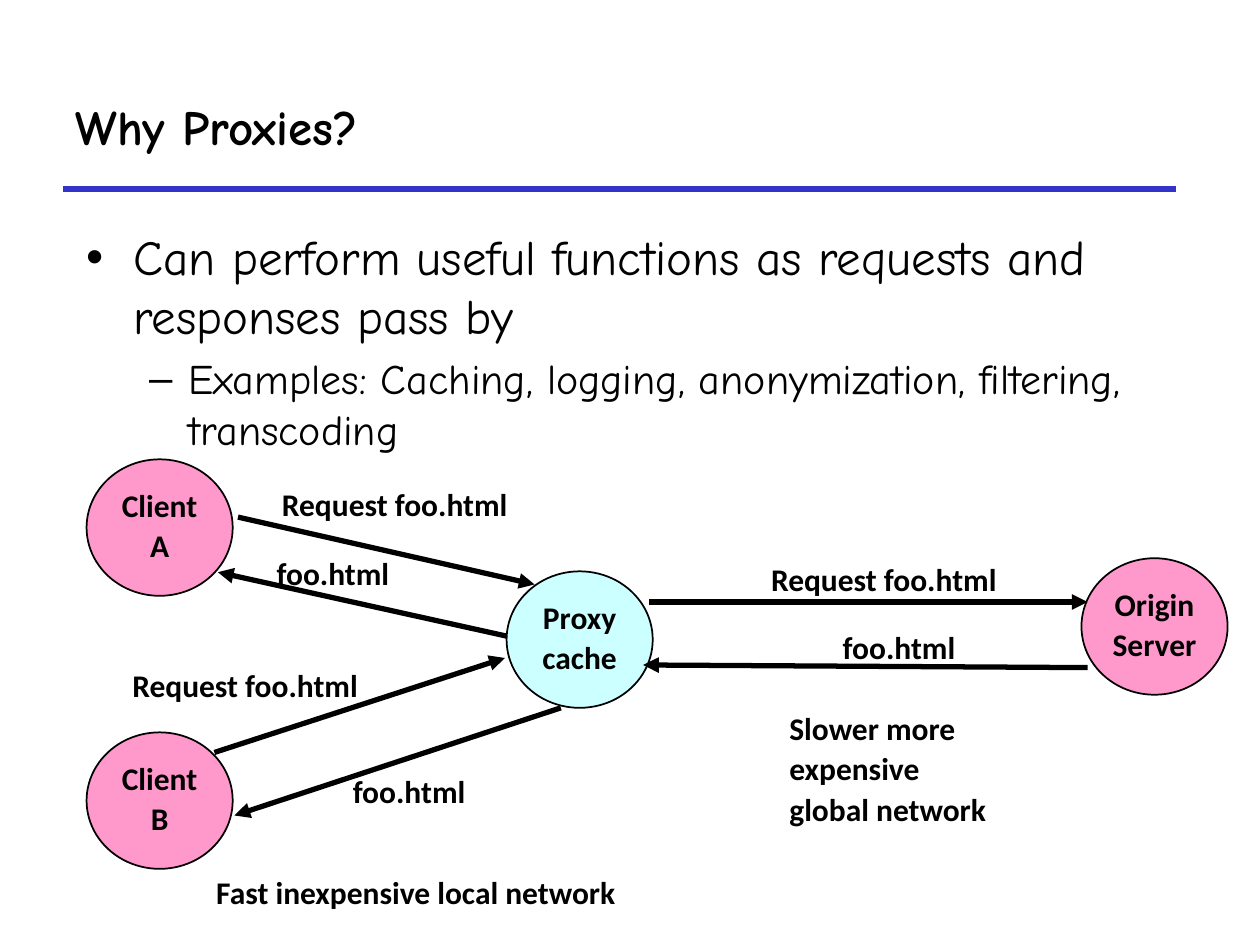
from lxml.etree import SubElement
from pptx import Presentation
from pptx.dml.color import RGBColor
from pptx.enum.shapes import MSO_CONNECTOR, MSO_SHAPE
from pptx.enum.text import MSO_ANCHOR as Anchor, MSO_AUTO_SIZE as AutoSize, PP_ALIGN as Align
from pptx.oxml.ns import qn
from pptx.util import Pt

BLACK = RGBColor(0x00, 0x00, 0x00)
BLUE = RGBColor(0x33, 0x33, 0xCC)
PINK = RGBColor(0xFF, 0x99, 0xCC)
CYAN = RGBColor(0xCC, 0xFF, 0xFF)
HEADING_FONT, LABEL_FONT = "Comic Neue", "Calibri"

# Content; lengths in points
TITLE = "Why Proxies?"
BULLETS = [  # text, level, size, bullet, left margin, hanging indent
    ("Can perform useful functions as requests and responses pass by", 0, 28, "•", 27, 27),
    ("Examples: Caching, logging, anonymization, filtering, transcoding", 1, 24, "–", 58.5, 22.5),
]
NODE_SIZE = (83.5, 78)
NODES = [  # lines, left, top, fill
    (["Client", "A"], 49.5, 262.5, PINK),
    (["Proxy", "cache"], 289.5, 326.5, CYAN),
    (["Origin", "Server"], 618, 319, PINK),
    (["Client", "B"], 49.5, 418.5, PINK),
]
REQUEST, REPLY = "Request foo.html", "foo.html"
LABEL_WIDTH = {REQUEST: 151, REPLY: 83.5}
LABEL_HEIGHT = 26.5
MESSAGES = [  # label, label position, sender end, receiver end
    (REQUEST, (154, 276), (136, 295.5), (305.5, 334)),
    (REQUEST, (433.5, 319), (371, 344), (621.5, 344)),
    (REPLY, (474.5, 358), (621.5, 381.5), (367.5, 380)),
    (REPLY, (151, 315.5), (289.5, 363.5), (124.5, 327)),
    (REQUEST, (68.5, 379.5), (122.5, 430), (288.5, 376)),
    (REPLY, (194.5, 440), (320.5, 404.5), (134, 466)),
]
NOTES = [  # lines, left, top, width, height, wrap
    (["Fast inexpensive local network"], 116.5, 498, 255, LABEL_HEIGHT, False),
    (["Slower more", "expensive", "global network"], 444, 404, 133, 75, True),
]


def write(paragraph, text, size=18, font=LABEL_FONT, bold=True, align=Align.LEFT,
          spacing=0.9, before=0.2):
    """Fill a paragraph; before is a share of the text size."""
    paragraph.alignment = align
    paragraph.line_spacing = spacing
    paragraph.space_before = Pt(size * before)
    run = paragraph.add_run()
    run.text = text
    run.font.size, run.font.name, run.font.bold = Pt(size), font, bold
    run.font.color.rgb = BLACK


def write_lines(frame, lines, **style):
    for index, line in enumerate(lines):
        paragraph = frame.add_paragraph() if index else frame.paragraphs[0]
        write(paragraph, line, **style)


def place(shape, left, top, width, height):
    shape.left, shape.top, shape.width, shape.height = map(Pt, (left, top, width, height))


def add_line(slide, start, end, color=BLACK, arrow=False):
    line = slide.shapes.add_connector(MSO_CONNECTOR.STRAIGHT, *map(Pt, (*start, *end)))
    line.line.color.rgb, line.line.width = color, Pt(3)
    if arrow:
        SubElement(line.line._get_or_add_ln(), qn("a:tailEnd"), type="triangle")
    SubElement(line._element.spPr, qn("a:effectLst"))


def add_label(slide, lines, left, top, width, height, wrap=False):
    frame = slide.shapes.add_textbox(*map(Pt, (left, top, width, height))).text_frame
    frame.word_wrap, frame.auto_size = wrap, AutoSize.SHAPE_TO_FIT_TEXT
    write_lines(frame, lines)


def add_node(slide, lines, left, top, fill):
    shape = slide.shapes.add_shape(MSO_SHAPE.OVAL, *map(Pt, (left, top, *NODE_SIZE)))
    shape.shadow.inherit = False
    shape.fill.solid()
    shape.fill.fore_color.rgb = fill
    shape.line.color.rgb, shape.line.width = BLACK, Pt(1)
    frame = shape.text_frame
    frame.word_wrap, frame.vertical_anchor = False, Anchor.MIDDLE
    write_lines(frame, lines, align=Align.CENTER)


def main():
    presentation = Presentation()
    presentation.slide_width, presentation.slide_height = Pt(720), Pt(540)
    slide = presentation.slides.add_slide(presentation.slide_layouts[1])

    # Title and rule
    title, body = slide.placeholders
    place(title, 36, 36, 636, 72)
    title.text_frame.vertical_anchor = Anchor.MIDDLE
    title.text_frame.auto_size = AutoSize.NONE
    write(title.text_frame.paragraphs[0], TITLE, size=28, font=HEADING_FONT,
          spacing=1.0, before=0)
    add_line(slide, (36, 108), (672, 108), color=BLUE)

    # Bullet list
    place(body, 42, 126, 654.5, 130.5)
    frame = body.text_frame
    frame.auto_size = AutoSize.NONE
    for index, (text, level, size, bullet, margin, hanging) in enumerate(BULLETS):
        paragraph = frame.add_paragraph() if index else frame.paragraphs[0]
        paragraph.level = level
        write(paragraph, text, size=size, font=HEADING_FONT, bold=False, spacing=1.0)
        properties = paragraph._p.get_or_add_pPr()
        properties.set("marL", str(Pt(margin)))
        properties.set("indent", str(-Pt(hanging)))
        SubElement(properties, qn("a:buChar"), char=bullet)

    # Network diagram
    for node in NODES:
        add_node(slide, *node)
    for label, position, sender, receiver in MESSAGES:
        add_line(slide, sender, receiver, arrow=True)
        add_label(slide, [label], *position, LABEL_WIDTH[label], LABEL_HEIGHT)
    for note in NOTES:
        add_label(slide, *note)

    presentation.save("out.pptx")


if __name__ == "__main__":
    main()
